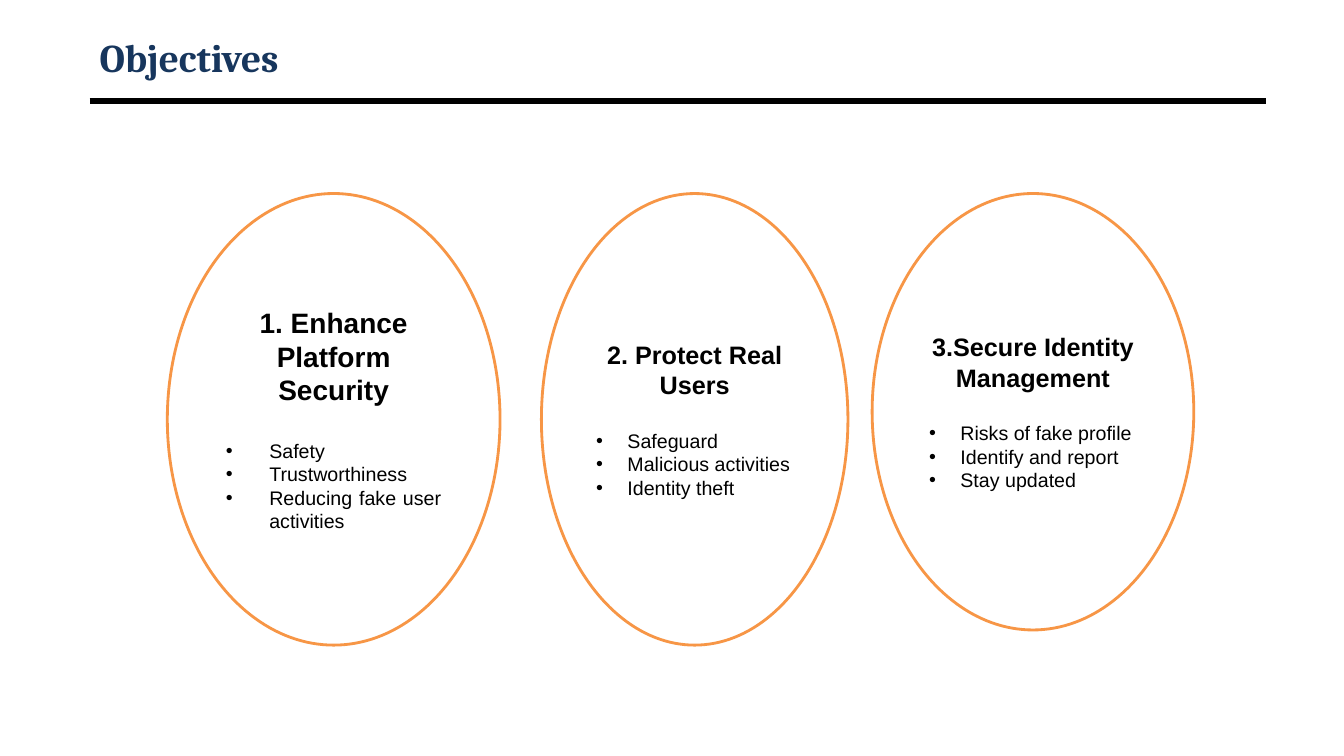
"""Build the Objectives slide with three outlined ellipses."""
from lxml.etree import SubElement
from pptx import Presentation
from pptx.dml.color import RGBColor
from pptx.enum.shapes import MSO_CONNECTOR, MSO_SHAPE
from pptx.enum.text import MSO_ANCHOR, PP_ALIGN
from pptx.oxml.ns import qn
from pptx.util import Inches, Pt

BLACK = RGBColor(0x00, 0x00, 0x00)
WHITE = RGBColor(0xFF, 0xFF, 0xFF)
NAVY = RGBColor(0x17, 0x36, 0x5D)
ORANGE = RGBColor(0xF7, 0x96, 0x46)


def write_text(paragraph, text, size, font="Arial", color=BLACK, bold=False,
               align=PP_ALIGN.LEFT, space_after=0, bullet_indent=None):
    paragraph.alignment = align
    paragraph.space_after = Pt(space_after)
    run = paragraph.add_run()
    run.text = text
    run.font.name = font
    run.font.size = Pt(size)
    run.font.bold = bold
    run.font.color.rgb = color
    if bullet_indent:
        properties = paragraph._p.get_or_add_pPr()
        properties.set("marL", str(Inches(bullet_indent)))
        properties.set("indent", str(-Inches(bullet_indent)))
        SubElement(properties, qn("a:buFont"), typeface="Arial")
        SubElement(properties, qn("a:buChar"), char="•")


presentation = Presentation()
presentation.slide_width = Inches(13.33)
presentation.slide_height = Inches(7.5)
slide = presentation.slides.add_slide(presentation.slide_layouts[6])

rule = slide.shapes.add_connector(
    MSO_CONNECTOR.STRAIGHT, Inches(0.89), Inches(1), Inches(12.56), Inches(1))
rule.line.color.rgb = BLACK
rule.line.width = Pt(4.5)
SubElement(rule._element.spPr, qn("a:effectLst"))

title = slide.shapes.add_textbox(Inches(0.89), Inches(0.3), Inches(11.67), Inches(0.53))
title.text_frame.word_wrap = True
title.text_frame.vertical_anchor = MSO_ANCHOR.MIDDLE
write_text(title.text_frame.paragraphs[0], "Objectives", 28,
           font="Cambria", color=NAVY, bold=True)

objectives = [
    (1.66, 3.3, 4.48, "1. Enhance Platform Security", 20, 0.43,
     ["Safety", "Trustworthiness", "Reducing fake user activities"]),
    (5.37, 3.04, 4.48, "2. Protect Real Users", 18, 0.31,
     ["Safeguard", "Malicious activities", "Identity theft"]),
    (8.65, 3.19, 4.33, "3.Secure Identity Management", 18, 0.31,
     ["Risks of fake profile", "Identify and report", "Stay updated"]),
]

for left, width, height, heading, heading_size, indent, points in objectives:
    ellipse = slide.shapes.add_shape(
        MSO_SHAPE.OVAL, Inches(left), Inches(1.92), Inches(width), Inches(height))
    ellipse.shadow.inherit = False
    ellipse.fill.solid()
    ellipse.fill.fore_color.rgb = WHITE
    ellipse.line.color.rgb = ORANGE
    ellipse.line.width = Pt(2)
    frame = ellipse.text_frame
    frame.word_wrap = True
    frame.vertical_anchor = MSO_ANCHOR.MIDDLE
    write_text(frame.paragraphs[0], heading, heading_size, bold=True,
               align=PP_ALIGN.CENTER, space_after=heading_size * 1.15)
    for point in points:
        write_text(frame.add_paragraph(), point, 14,
                   align=PP_ALIGN.JUSTIFY, bullet_indent=indent)

presentation.save("out.pptx")
